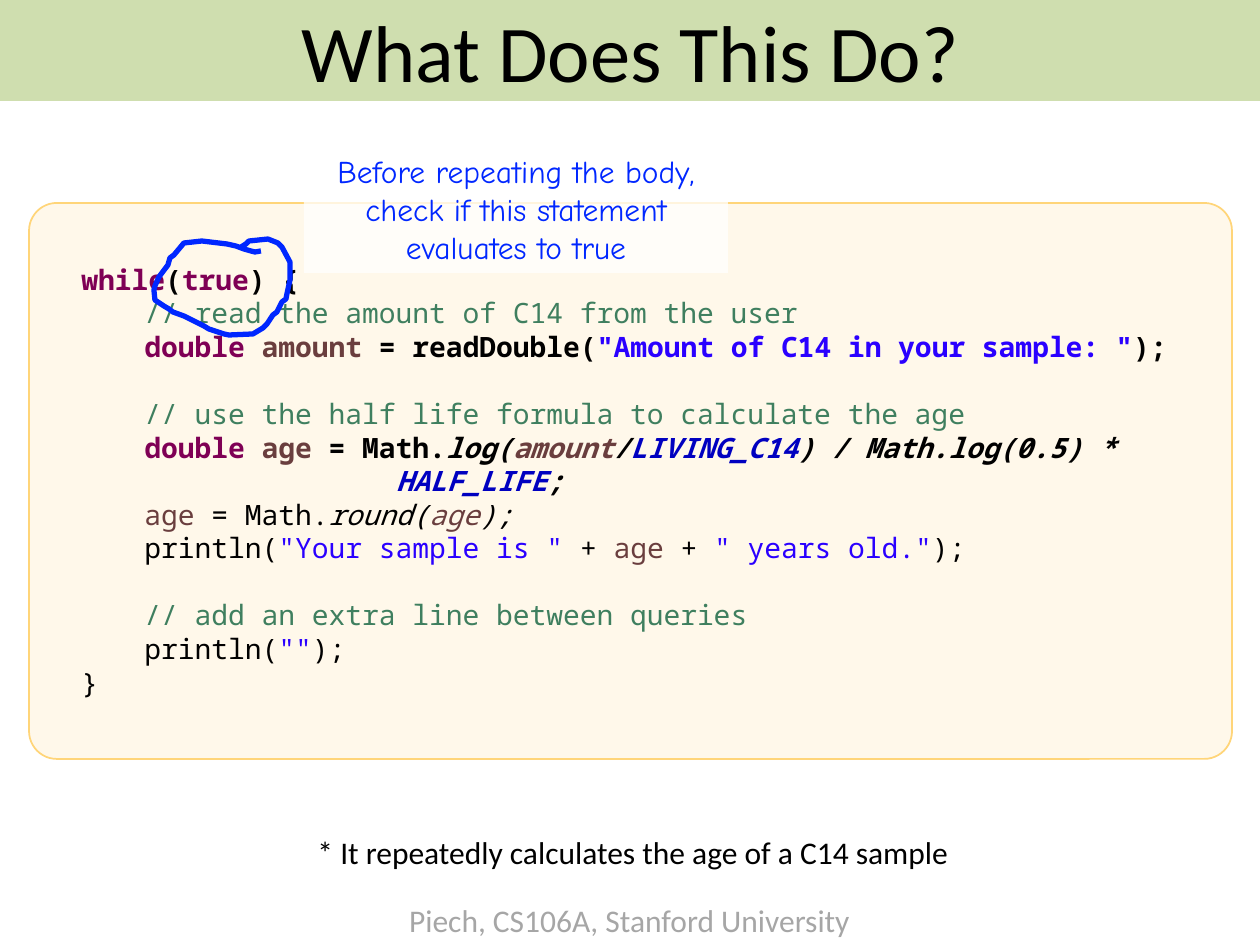
"""Build a slide that explains a while loop with annotated code."""
import pptx
import pptx.util
import pptx.dml.color
import pptx.enum.shapes
import pptx.enum.text
import pptx.oxml
import pptx.oxml.ns

Pt = pptx.util.Pt
RGB = pptx.dml.color.RGBColor
Shape = pptx.enum.shapes.MSO_SHAPE
Align = pptx.enum.text.PP_ALIGN
qn = pptx.oxml.ns.qn

PX = 914400 / 126
BLACK = RGB(0x00, 0x00, 0x00)
WHITE = RGB(0xFF, 0xFF, 0xFF)
GRAY = RGB(0xA6, 0xA6, 0xA6)
GREEN = RGB(0xC3, 0xD6, 0x9B)
CREAM = RGB(0xFF, 0xF8, 0xEA)
GOLD = RGB(0xFF, 0xD5, 0x79)
INK = RGB(0x00, 0x27, 0xFF)
KEY = RGB(0x7F, 0x00, 0x55)
NOTE = RGB(0x3F, 0x7F, 0x5F)
NAME = RGB(0x6A, 0x3E, 0x3E)
QUOTE = RGB(0x2A, 0x00, 0xFF)
CONST = RGB(0x00, 0x00, 0xC0)


def write(para, text, font="Calibri", size=18, color=BLACK, style="", align=None):
    if align is not None:
        para.alignment = align
    run = para.add_run()
    run.text = text
    run.font.name = font
    run.font.size = Pt(size)
    run.font.color.rgb = color
    run.font.bold = "b" in style
    run.font.italic = "i" in style


def block(kind, box, fill, alpha=100):
    shape = slide.shapes.add_shape(kind, *[int(n * PX) for n in box])
    shape.shadow.inherit = False
    shape.fill.solid()
    shape.fill.fore_color.rgb = fill
    shape.line.fill.background()
    if alpha < 100:
        tint = shape.fill._xPr.find(".//" + qn("a:srgbClr"))
        pptx.oxml.ns  # noqa
        node = pptx.oxml.xmlchemy.OxmlElement("a:alpha")
        node.set("val", str(alpha * 1000))
        tint.append(node)
    return shape


deck = pptx.Presentation()
deck.slide_width = int(1260 * PX)
deck.slide_height = int(945 * PX)
slide = deck.slides.add_slide(deck.slide_layouts[6])

panel = block(Shape.ROUNDED_RECTANGLE, (29, 203, 1203, 556), CREAM)
panel.adjustments[0] = 0.05
panel.line.color.rgb = GOLD
panel.line.width = Pt(1)

code = [
    (0, 0, [("while", KEY, "b"), ("(", BLACK, "b"), ("true", KEY, "b"), (") {", BLACK, "b")]),
    (1, 0, [("// read the amount of C14 from the user", NOTE, "")]),
    (1, 0, [("double ", KEY, "b"), ("amount", NAME, "b"), (" = readDouble(", BLACK, "b"),
            ('"Amount of C14 in your sample: "', QUOTE, "b"), (");", BLACK, "b")]),
    (1, 1, [("// use the half life formula to calculate the age", NOTE, "")]),
    (1, 0, [("double ", KEY, "b"), ("age", NAME, "b"), (" = Math.", BLACK, "b"),
            ("log(", BLACK, "bi"), ("amount", NAME, "bi"), ("/", BLACK, "bi"),
            ("LIVING_C14", CONST, "bi"), (") / Math.log(0.5) *", BLACK, "bi")]),
    (5, 0, [("HALF_LIFE", CONST, "bi"), (";", BLACK, "bi")]),
    (1, 0, [("age ", NAME, ""), ("= Math.", BLACK, ""), ("round(", BLACK, "i"),
            ("age", NAME, "i"), (");", BLACK, "i")]),
    (1, 0, [("println(", BLACK, ""), ('"Your sample is "', QUOTE, ""), (" + ", BLACK, ""),
            ("age", NAME, ""), (" + ", BLACK, ""), ('" years old."', QUOTE, ""),
            (");", BLACK, "")]),
    (1, 1, [("// add an extra line between queries", NOTE, "")]),
    (1, 0, [("println(", BLACK, ""), ('""', QUOTE, ""), (");", BLACK, "")]),
    (0, 0, [("}", BLACK, "")]),
]
pitch = 19.2
area = slide.shapes.add_textbox(*[int(n * PX) for n in (69, 256, 1220, 453)])
frame = area.text_frame
frame.word_wrap = True
for row, (depth, gap, parts) in enumerate(code):
    para = frame.paragraphs[0] if row == 0 else frame.add_paragraph()
    para.line_spacing = Pt(pitch)
    para.space_before = Pt(pitch * gap)
    if depth:
        stops = pptx.oxml.xmlchemy.OxmlElement("a:tabLst")
        for step in range(1, depth + 1):
            stop = pptx.oxml.xmlchemy.OxmlElement("a:tab")
            stop.set("pos", str(int(63 * PX * step)))
            stop.set("algn", "l")
            stops.append(stop)
        para._p.get_or_add_pPr().append(stops)
        parts = [("\t" * depth, BLACK, "")] + parts
    for text, color, style in parts:
        write(para, text, font="Noto Sans Mono", size=16, color=color, style=style)

title = block(Shape.RECTANGLE, (0, 0, 1260, 101), GREEN, 80)
title.text_frame.vertical_anchor = pptx.enum.text.MSO_ANCHOR.MIDDLE
write(title.text_frame.paragraphs[0], "What Does This Do?", size=46, align=Align.CENTER)

for text, box, color in [
    ("* It repeatedly calculates the age of a C14 sample", (301, 827, 664, 51), BLACK),
    ("Piech, CS106A, Stanford University", (394, 895, 471, 51), GRAY),
]:
    label = slide.shapes.add_textbox(*[int(n * PX) for n in box])
    label.text_frame.word_wrap = False
    write(label.text_frame.paragraphs[0], text, color=color, align=Align.CENTER)

ring = [
    (261, 251), (255, 252), (251, 251), (244, 249), (236, 246), (227, 244),
    (202, 241), (184, 243), (174, 255), (170, 258), (168, 265), (159, 277),
    (155, 286), (154, 290), (155, 300), (164, 306), (169, 309), (173, 312),
    (184, 316), (194, 321), (204, 326), (209, 329), (224, 334), (229, 335),
    (253, 334), (263, 328), (267, 324), (273, 315), (277, 312), (282, 302),
    (286, 299), (287, 294), (290, 280), (290, 262), (282, 247), (278, 243),
    (268, 239), (249, 241), (246, 244), (241, 247),
]
pen = slide.shapes.build_freeform(*ring[0], scale=PX)
pen.add_line_segments(ring[1:], close=False)
loop = pen.convert_to_shape()
loop.shadow.inherit = False
loop.fill.background()
loop.line.color.rgb = INK
loop.line.width = Pt(3)
loop.line._get_or_add_ln().append(pptx.oxml.xmlchemy.OxmlElement("a:round"))

hint = block(Shape.RECTANGLE, (304, 146, 424, 127), WHITE, 75)
hint.text_frame.word_wrap = True
hint.text_frame.vertical_anchor = pptx.enum.text.MSO_ANCHOR.TOP
write(hint.text_frame.paragraphs[0],
      "Before repeating the body, check if this statement evaluates to true",
      font="Comic Neue", color=INK, align=Align.CENTER)

deck.save("out.pptx")
